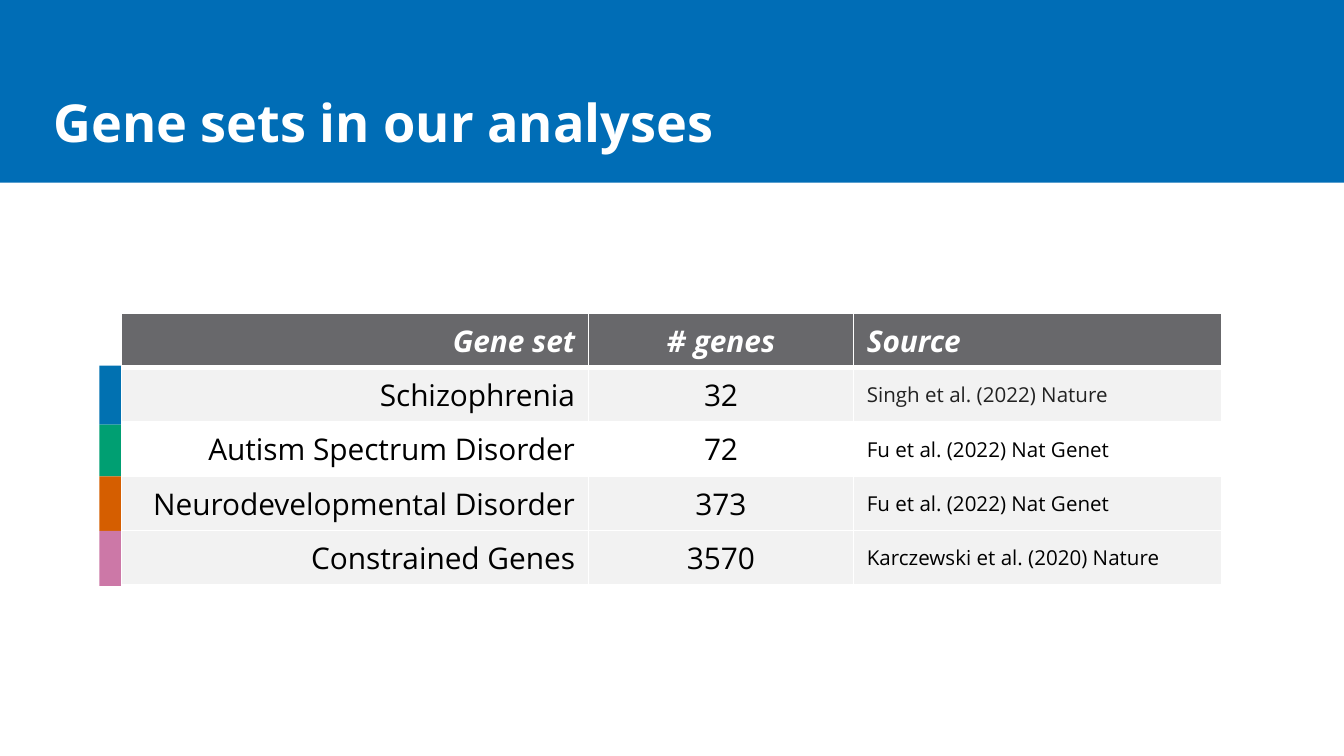
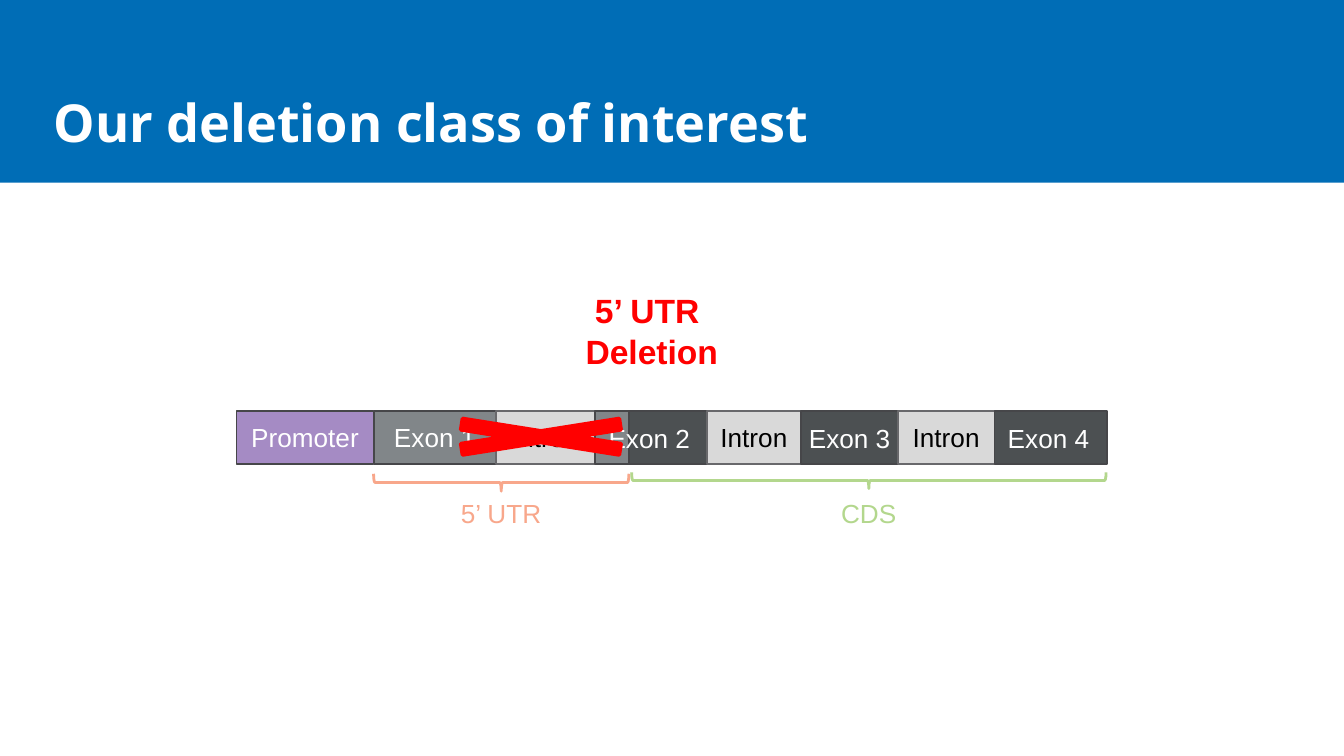
"""Build two slides on gene sets and the 5’ UTR deletion class."""
from itertools import pairwise

from lxml.etree import SubElement
from pptx import Presentation
from pptx.dml.color import RGBColor
from pptx.enum.shapes import MSO_SHAPE
from pptx.enum.text import MSO_ANCHOR, PP_ALIGN
from pptx.oxml.ns import qn
from pptx.util import Pt

PX = 4572
WHITE, BLACK, RED = "FFFFFF", "000000", "FF0000"
BAND_BLUE, HEADER_GRAY, STRIPE = "006DB6", "68686B", "F2F2F2"
UTR_GRAY, CDS_GRAY, INTRON_GRAY = "818689", "4C5052", "D9D9D9"
EXON_EDGE, PROMOTER_PURPLE = "464649", "A58BC4"
UTR_ORANGE, CDS_GREEN = "F8A78B", "B3D78D"
LEFT, CENTER, RIGHT = PP_ALIGN.LEFT, PP_ALIGN.CENTER, PP_ALIGN.RIGHT


def color(code):
    return RGBColor.from_string(code)


def write(frame, text, size=14, font="Arial", ink=BLACK, bold=False,
          italic=False, align=LEFT):
    frame.text = text
    for paragraph in frame.paragraphs:
        paragraph.alignment = align
        style = paragraph.font
        style.size, style.name = Pt(size), font
        style.bold, style.italic = bold, italic
        style.color.rgb = color(ink)


def set_borders(cell, **widths):
    properties = cell._tc.get_or_add_tcPr()
    fills = list(properties)
    for side in ("L", "R", "T", "B"):
        line = SubElement(properties, qn(f"a:ln{side}"), w=str(Pt(widths.get(side, 1))))
        SubElement(SubElement(line, qn("a:solidFill")), qn("a:srgbClr"), val=WHITE)
    properties.extend(fills)


class Deck:
    def __init__(self):
        self.presentation = Presentation()
        self.presentation.slide_width = 2000 * PX
        self.presentation.slide_height = 1125 * PX
        self.slide = None

    def start(self, title):
        layout = self.presentation.slide_layouts[6]
        self.slide = self.presentation.slides.add_slide(layout)
        self.shape(0, 0, 2000, 272, fill=BAND_BLUE)
        self.text(60, 54, 1880, 194, title, inset=20, anchor=MSO_ANCHOR.BOTTOM,
                  size=28, font="Open Sans", ink=WHITE, bold=True)

    def shape(self, x, y, w, h, preset=MSO_SHAPE.RECTANGLE, fill=None, edge=None,
              weight=1.0):
        shape = self.slide.shapes.add_shape(preset, x * PX, y * PX, w * PX, h * PX)
        shape.shadow.inherit = False
        if fill:
            shape.fill.solid()
            shape.fill.fore_color.rgb = color(fill)
        else:
            shape.fill.background()
        if edge:
            shape.line.color.rgb = color(edge)
            shape.line.width = Pt(weight)
        else:
            shape.line.fill.background()
        return shape

    def text(self, x, y, w, h, words, wrap=True, inset=10, anchor=MSO_ANCHOR.TOP,
             **style):
        box = self.slide.shapes.add_textbox(x * PX, y * PX, w * PX, h * PX)
        frame = box.text_frame
        frame.word_wrap, frame.vertical_anchor = wrap, anchor
        frame.margin_top = frame.margin_bottom = inset * PX
        write(frame, words, **style)

    def block(self, x, y, w, h, label, fill, edge, ink):
        block = self.shape(x, y, w, h, fill=fill, edge=edge)
        if label:
            block.text_frame.word_wrap = False
            block.text_frame.vertical_anchor = MSO_ANCHOR.MIDDLE
            write(block.text_frame, label, ink=ink, align=CENTER)

    def brace_below(self, x, y, w, h, edge):
        brace = self.shape(x + (w - h) // 2, y - (w - h) // 2, h, w,
                           MSO_SHAPE.LEFT_BRACE, edge=edge, weight=1.5)
        brace.rotation = 270

    def table(self, x, y, widths, row_height, rows, paint):
        table = self.slide.shapes.add_table(
            len(rows), len(widths), x * PX, y * PX, sum(widths) * PX,
            row_height * len(rows) * PX).table
        for column, width in zip(table.columns, widths):
            column.width = width * PX
        for r, row in enumerate(rows):
            table.rows[r].height = row_height * PX
            for c, words in enumerate(row):
                cell = table.cell(r, c)
                fill, anchor, style = paint(r, c)
                cell.vertical_anchor = anchor
                write(cell.text_frame, words, **style)
                if fill:
                    cell.fill.solid()
                    cell.fill.fore_color.rgb = color(fill)
                else:
                    cell.fill.background()
                set_borders(cell, T=3 if r == 1 else 1, B=3 if r == 0 else 1)


def paint_gene_cell(row, column):
    style = {"font": "Open Sans", "size": 16, "align": (RIGHT, CENTER, LEFT)[column]}
    if row == 0:
        style.update(ink=WHITE, bold=True, italic=True)
        return HEADER_GRAY, MSO_ANCHOR.BOTTOM, style
    if column == 2:
        style.update(size=11, ink="222222" if row == 1 else BLACK)
    return None if row == 2 else STRIPE, MSO_ANCHOR.MIDDLE, style


def add_gene_sets(deck):
    deck.start("Gene sets in our analyses")
    gene_sets = [
        ("Gene set", "# genes", "Source"),
        ("Schizophrenia", "32", "Singh et al. (2022) Nature"),
        ("Autism Spectrum Disorder", "72", "Fu et al. (2022) Nat Genet"),
        ("Neurodevelopmental Disorder", "373", "Fu et al. (2022) Nat Genet"),
        ("Constrained Genes", "3570", "Karczewski et al. (2020) Nature"),
    ]
    deck.table(180, 466, (696, 394, 548), 81, gene_sets, paint_gene_cell)
    key_edges = (544, 632, 709, 790, 872)
    key_colors = ("0171B1", "009F72", "D55E00", "CC78A7")
    for (top, bottom), key in zip(pairwise(key_edges), key_colors):
        deck.shape(148, top, 32, bottom - top, fill=key)


def add_deletion_class(deck):
    deck.start("Our deletion class of interest")
    intron = ("Intron", INTRON_GRAY, HEADER_GRAY, BLACK)
    coding = ("", CDS_GRAY, EXON_EDGE, WHITE)
    regions = [
        ("Promoter", PROMOTER_PURPLE, EXON_EDGE, WHITE),
        ("Exon 1", UTR_GRAY, EXON_EDGE, WHITE),
        intron,
        ("", UTR_GRAY, EXON_EDGE, WHITE),
        coding, intron, coding, intron, coding,
    ]
    region_edges = (352, 556, 738, 886, 936, 1052, 1192, 1336, 1480, 1648)
    for (left, right), region in zip(pairwise(region_edges), regions):
        deck.block(left, 612, right - left, 78, *region)
    for exon, left in (("Exon 2", 886), ("Exon 3", 1184), ("Exon 4", 1480)):
        deck.text(left, 618, 168, 68, exon, ink=WHITE)

    deck.brace_below(556, 705, 380, 26, UTR_ORANGE)
    deck.text(666, 730, 162, 68, "5’ UTR", wrap=False, ink=UTR_ORANGE)
    deck.brace_below(940, 703, 706, 24, CDS_GREEN)
    deck.text(1232, 730, 124, 68, "CDS", wrap=False, ink=CDS_GREEN)

    deck.shape(578, 614, 454, 72, MSO_SHAPE.MATH_MULTIPLY, fill=RED, edge=RED, weight=2)
    deck.text(850, 422, 240, 142, "5’ UTR \nDeletion", wrap=False, size=18,
              ink=RED, bold=True, align=CENTER)


def main():
    deck = Deck()
    add_gene_sets(deck)
    add_deletion_class(deck)
    deck.presentation.save("out.pptx")


if __name__ == "__main__":
    main()
